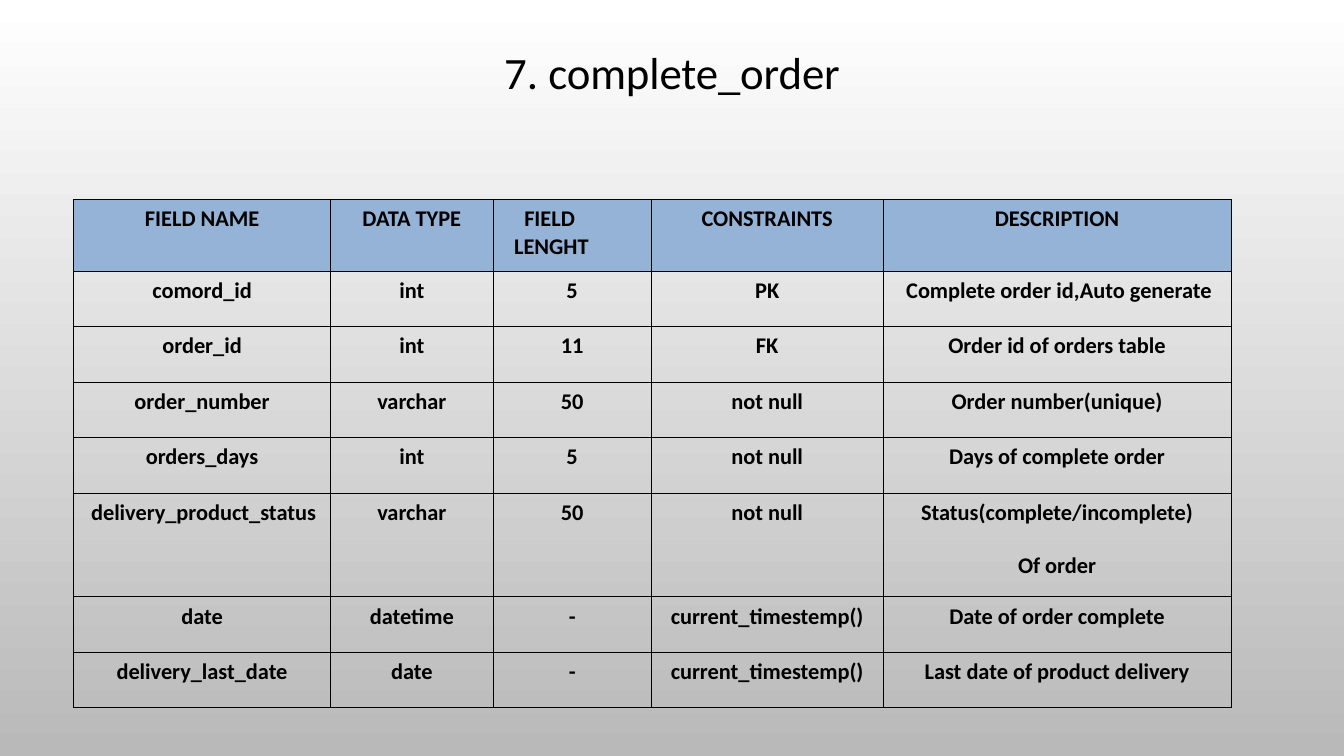
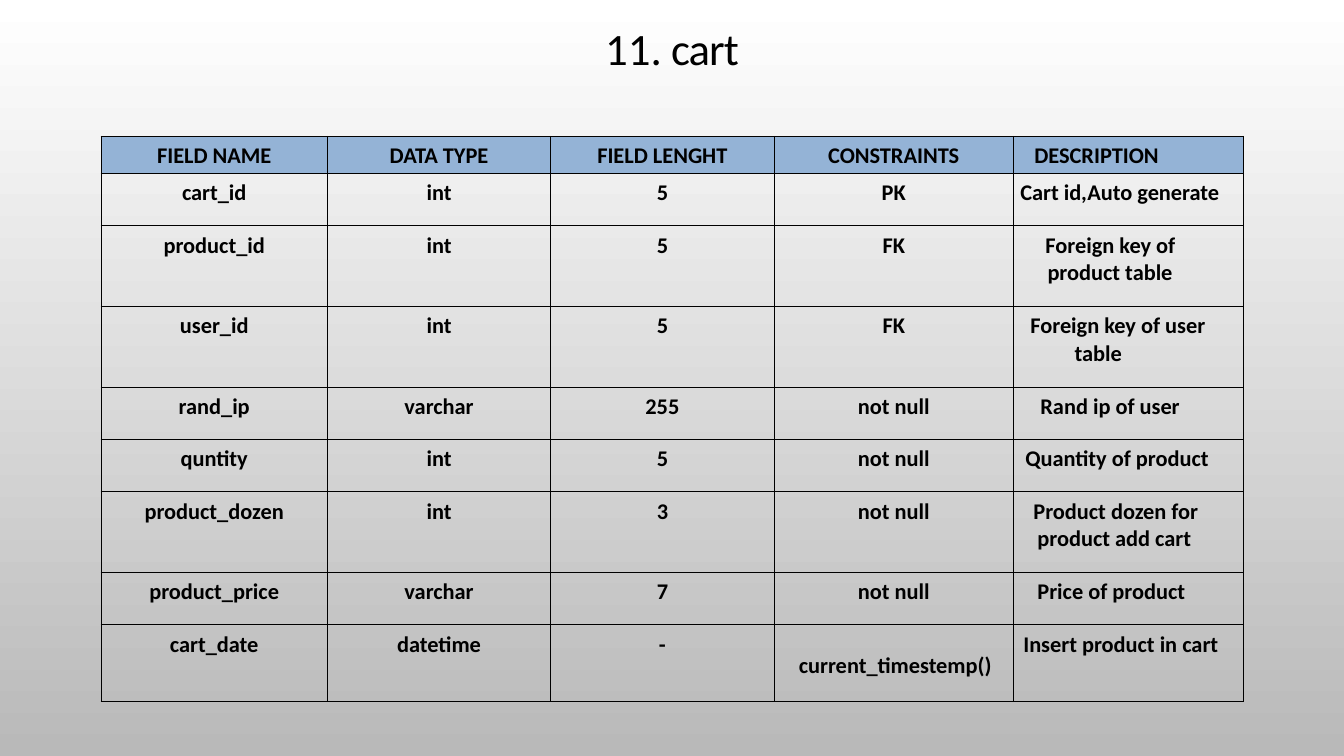
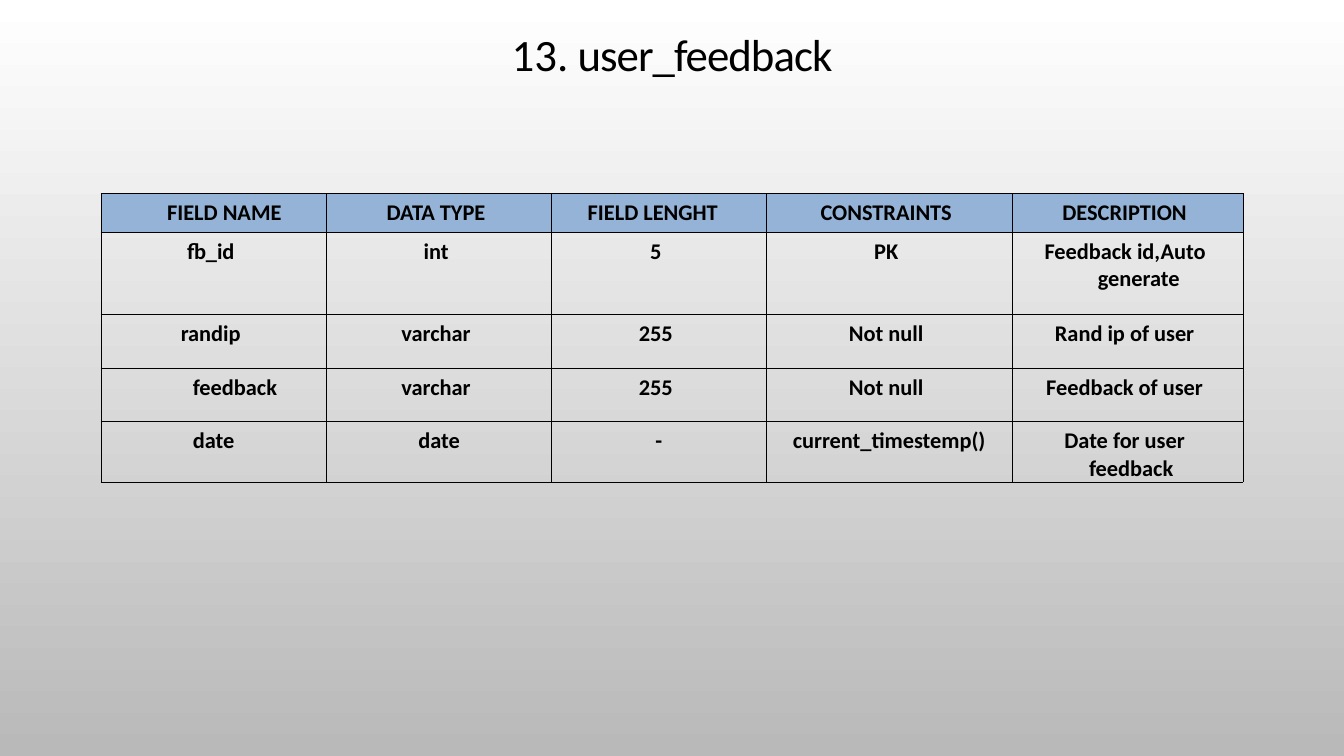
from pptx import Presentation
from pptx.dml.color import RGBColor
from pptx.enum.text import MSO_ANCHOR, PP_ALIGN
from pptx.oxml import parse_xml
from pptx.oxml.ns import nsdecls
from pptx.util import Inches, Pt

BLACK, HEAD, TOP, BASE = "000000", "94B3D6", "FFFFFF", "B9B9B9"
TITLE = {"name": "Calibri", "size": Pt(32), "bold": False}
CELL = {"name": "Calibri", "size": Pt(16), "bold": True}
FIELDS = ("FIELD NAME", "DATA TYPE", "FIELD LENGHT", "CONSTRAINTS", "DESCRIPTION")
STAMP = "current_timestemp()"


def rgb(code):
    return RGBColor.from_string(code)


def style(run, look):
    for name, value in look.items():
        setattr(run.font, name, value)
    run.font.color.rgb = rgb(BLACK)


def paint(master):
    """Give all slides the same grey gradient, running downwards."""
    fill = master.background.fill
    fill.gradient()
    fill.gradient_angle = 270
    for stop, code in zip(fill.gradient_stops, (TOP, BASE)):
        stop.color.rgb = rgb(code)


def add_title(slide, box, parts):
    """Write the title; parts are pairs of text and letter spacing in points."""
    title = slide.shapes.title
    title.left, title.top, title.width, title.height = map(Inches, box)
    frame = title.text_frame
    frame.vertical_anchor = MSO_ANCHOR.MIDDLE
    para = frame.paragraphs[0]
    para.alignment, para.line_spacing = PP_ALIGN.CENTER, 0.9
    for text, gap in parts:
        run = para.add_run()
        run.text = text
        style(run, TITLE)
        run.font._element.set("spc", str(round(gap * 100)))


def border(cell):
    props = cell._tc.get_or_add_tcPr()
    for side in "LRTB":
        props.append(parse_xml(
            f'<a:ln{side} w="{Pt(0.5)}" {nsdecls("a")}><a:solidFill>'
            f'<a:srgbClr val="{BLACK}"/></a:solidFill></a:ln{side}>'))


def fill_cell(cell, text, head, align=PP_ALIGN.CENTER, left=0, first=0, right=0, top=0.06):
    """Write one cell; left and first are the indents of its paragraphs."""
    cell.margin_left = cell.margin_bottom = 0
    cell.margin_right, cell.margin_top = Inches(right), Inches(top)
    border(cell)
    if head:
        cell.fill.solid()
        cell.fill.fore_color.rgb = rgb(HEAD)
    else:
        cell.fill.background()
    frame = cell.text_frame
    for i, line in enumerate(text.split("\n")):
        para = frame.add_paragraph() if i else frame.paragraphs[0]
        para.alignment = align
        if i:
            para.space_before = Pt(18.5)
        props = para._p.get_or_add_pPr()
        props.set("marL", str(Inches(left)))
        props.set("indent", str(Inches(first)))
        run = para.add_run()
        run.text = line
        style(run, CELL)


def add_grid(slide, at, cols, heights, rows, tweaks):
    """Place a field table; tweaks maps (row, column) to cell settings."""
    rows = [FIELDS, *rows]
    size = sum(cols), sum(heights)
    grid = slide.shapes.add_table(len(rows), len(cols), *map(Inches, at + size)).table
    grid.first_row = grid.horz_banding = False
    for col, width in zip(grid.columns, cols):
        col.width = Inches(width)
    for r, (row, height) in enumerate(zip(rows, heights)):
        grid.rows[r].height = Inches(height)
        for c, text in enumerate(row):
            fill_cell(grid.cell(r, c), text, r == 0, **tweaks.get((r, c), {}))


def order_slide(slide):
    add_title(slide, (1, 0.12, 11.33, 1.25), [("7. ", 0), ("complete_order", -0.1)])
    rows = [
        ("comord_id", "int", "5", "PK", "Complete order id,Auto generate"),
        ("order_id", "int", "11", "FK", "Order id of orders table"),
        ("order_number", "varchar", "50", "not null", "Order number(unique)"),
        ("orders_days", "int", "5", "not null", "Days of complete order"),
        ("delivery_product_status", "varchar", "50", "not null",
         "Status(complete/incomplete)\nOf order"),
        ("date", "datetime", "-", STAMP, "Date of order complete"),
        ("delivery_last_date", "date", "-", STAMP, "Last date of product delivery"),
    ]
    tweaks = {(0, 2): {"align": PP_ALIGN.LEFT, "left": 0.21, "first": 0.1, "right": 0.5},
              (1, 4): {"left": 0.04}, (5, 0): {"left": 0.03}}
    heights = [0.71] + [0.55] * 4 + [1.03] + [0.55] * 2
    add_grid(slide, (0.73, 1.98), (2.55, 1.61, 1.57, 2.3, 3.45), heights, rows, tweaks)


def cart_slide(slide):
    add_title(slide, (1, 0.08, 11.33, 0.85), [("11.", 0), (" cart", -0.7)])
    rows = [
        ("cart_id", "int", "5", "PK", "Cart id,Auto generate"),
        ("product_id", "int", "5", "FK", "Foreign key of product table"),
        ("user_id", "int", "5", "FK", "Foreign key of user table"),
        ("rand_ip", "varchar", "255", "not null", "Rand ip of user"),
        ("quntity", "int", "5", "not null", "Quantity of product"),
        ("product_dozen", "int", "3", "not null", "Product dozen for product add cart"),
        ("product_price", "varchar", "7", "not null", "Price of product"),
        ("cart_date", "datetime", "-", STAMP, "Insert product in cart"),
    ]
    indents = [(0.21, 0), (0.07, 0), (0.34, -0.02), (0.61, -0.44), (0.27, 0),
               (0.12, 0), (0.24, -0.04), (0.24, 0), (0.1, 0)]
    tweaks = {(r, 4): {"align": PP_ALIGN.LEFT, "left": left, "first": first}
              for r, (left, first) in enumerate(indents)}
    tweaks[8, 3] = {"left": 0.03, "top": 0.27}
    heights = (0.37, 0.52, 0.8, 0.8, 0.52, 0.52, 0.8, 0.52, 0.76)
    add_grid(slide, (1, 1.35), (2.25, 2.21, 2.22, 2.37, 2.28), heights, rows, tweaks)


def feedback_slide(slide):
    add_title(slide, (1, 0.07, 11.33, 0.99), [("13.", 0), (" user_feedback", -0.7)])
    rows = [
        ("fb_id", "int", "5", "PK", "Feedback id,Auto generate"),
        ("randip", "varchar", "255", "Not null", "Rand ip of user"),
        ("feedback", "varchar", "255", "Not null", "Feedback of user"),
        ("date", "date", "-", STAMP, "Date for user feedback"),
    ]
    tweaks = {(r, c): {"right": 0.06} for r in range(4) for c in range(5)}
    tweaks |= {(0, 0): {"left": 0.21}, (0, 2): {"right": 0.12}, (3, 0): {"left": 0.42},
               (1, 4): {"left": 0.47, "first": -0.27, "right": 0.25},
               (4, 4): {"left": 0.46, "first": -0.13, "right": 0.39}}
    heights = (0.38, 0.82, 0.53, 0.53, 0.6)
    add_grid(slide, (1, 1.92), (2.24, 2.23, 2.13, 2.44, 2.29), heights, rows, tweaks)


def main():
    deck = Presentation()
    deck.slide_width, deck.slide_height = Inches(13.33), Inches(7.5)
    paint(deck.slide_master)
    for build in (order_slide, cart_slide, feedback_slide):
        build(deck.slides.add_slide(deck.slide_layouts[5]))
    deck.save("out.pptx")


if __name__ == "__main__":
    main()
